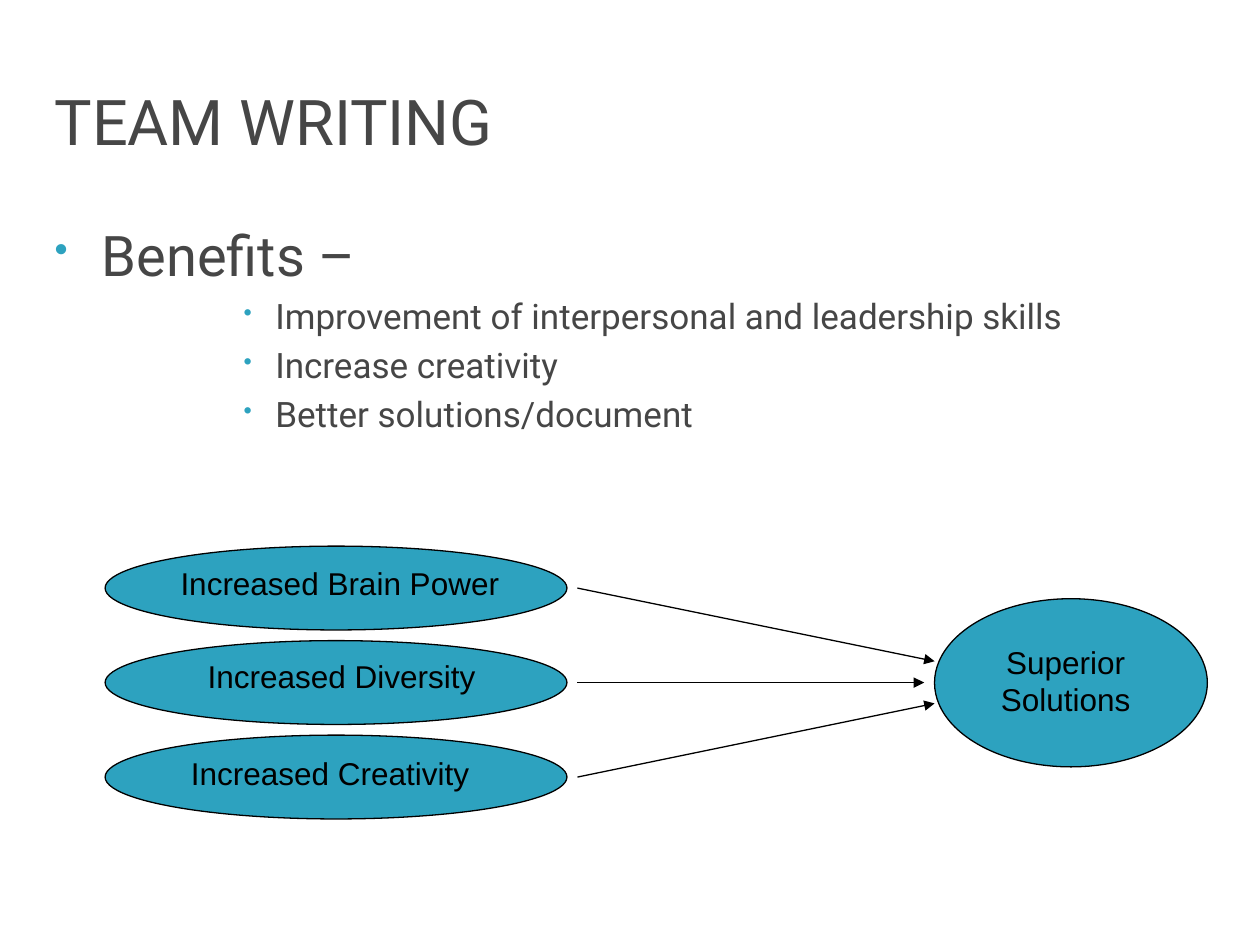
from typing import NamedTuple

from lxml import etree
from pptx import Presentation
from pptx.dml.color import RGBColor
from pptx.enum.shapes import MSO_CONNECTOR, MSO_SHAPE
from pptx.enum.text import MSO_ANCHOR, PP_ALIGN
from pptx.oxml.ns import qn
from pptx.util import Cm, Pt

STRAIGHT = MSO_CONNECTOR.STRAIGHT
ELLIPSE = MSO_SHAPE.OVAL
TOP, MIDDLE = MSO_ANCHOR.TOP, MSO_ANCHOR.MIDDLE
LEFT, CENTER = PP_ALIGN.LEFT, PP_ALIGN.CENTER

TEAL = RGBColor(0x2D, 0xA2, 0xBF)
GRAY = RGBColor(0x46, 0x46, 0x46)
BLACK = RGBColor(0, 0, 0)
OUTLINE = Pt(0.75)


class Box(NamedTuple):
    """Left, top, width and height in centimetres."""
    left: float
    top: float
    width: float
    height: float

    def lengths(self):
        """Return the four values as lengths."""
        return [Cm(value) for value in self]


class Benefit(NamedTuple):
    """A bulleted line; margin and hang in centimetres."""
    text: str
    size: int
    level: int
    margin: float
    hang: float


class Factor(NamedTuple):
    """An ellipse on the left, its label and the end of its arrow."""
    text: str
    label_left: float
    label_top: float
    align: PP_ALIGN
    arrow_x: float
    arrow_y: float


BENEFITS = [Benefit("Benefits –", 32, 0, 0.95, 0.95)] + [
    Benefit(text, 20, 3, 4.45, 0.64)
    for text in ("Improvement of interpersonal and leadership skills",
                 "Increase creativity", "Better solutions/document")
]
FACTORS = [
    Factor("Increased Brain Power", 3.39, 11.25, LEFT, 18.84, 13.33),
    Factor("Increased Diversity", 3.39, 13.12, CENTER, 18.63, 13.76),
    Factor("Increased Creativity", 3.6, 15.07, LEFT, 18.84, 14.18),
]
FACTOR_LEFT, FACTOR_TOP, FACTOR_PITCH = 2.12, 11.01, 1.905
FACTOR_WIDTH, FACTOR_HEIGHT = 9.31, 1.69
ARROW_START = 11.64


def add_text_box(s, box: Box, anchor=TOP):
    """Add a wrapping text box and return its text frame."""
    tf = s.shapes.add_textbox(*box.lengths()).text_frame
    tf.word_wrap = True
    tf.vertical_anchor = anchor
    return tf


def style(p, text: str, font: str, size: int, color: RGBColor) -> None:
    """Fill a paragraph and set its font."""
    p.text = text
    p.font.name = font
    p.font.size = Pt(size)
    p.font.color.rgb = color


def space_before(p, percent: int) -> None:
    """Set the space before a paragraph relative to its line height."""
    spacing = etree.Element(qn("a:spcBef"))
    etree.SubElement(spacing, qn("a:spcPct"), val=str(percent * 1000))
    p._p.get_or_add_pPr().insert(0, spacing)


def add_bullet(p, benefit: Benefit) -> None:
    """Give a paragraph a hanging teal bullet."""
    pPr = p._p.get_or_add_pPr()
    pPr.set("marL", str(Cm(benefit.margin)))
    pPr.set("indent", str(-Cm(benefit.hang)))
    color = etree.Element(qn("a:buClr"))
    etree.SubElement(color, qn("a:srgbClr"), val=str(TEAL))
    size = etree.Element(qn("a:buSzPct"), val="70000")
    char = etree.Element(qn("a:buChar"), char="•")
    for position, element in enumerate((color, size, char)):
        pPr.insert(position, element)


def add_ellipse(s, box: Box) -> None:
    """Add a teal ellipse with a thin black outline."""
    sp = s.shapes.add_shape(ELLIPSE, *box.lengths())
    sp.shadow.inherit = False
    sp.fill.solid()
    sp.fill.fore_color.rgb = TEAL
    sp.line.color.rgb = BLACK
    sp.line.width = OUTLINE


def add_label(s, box: Box, text: str, align: PP_ALIGN) -> None:
    """Add the label of an ellipse."""
    p = add_text_box(s, box).paragraphs[0]
    style(p, text, "Arial", 18, BLACK)
    p.alignment = align
    space_before(p, 50)


def add_arrow(s, x1: float, y1: float, x2: float, y2: float) -> None:
    """Add a thin black arrow."""
    arrow = s.shapes.add_connector(STRAIGHT, Cm(x1), Cm(y1), Cm(x2), Cm(y2))
    arrow.line.color.rgb = BLACK
    arrow.line.width = OUTLINE
    etree.SubElement(arrow.line._get_or_add_ln(), qn("a:tailEnd"), type="triangle")
    etree.SubElement(arrow._element.spPr, qn("a:effectLst"))


def add_benefits(s) -> None:
    """Add the bulleted list."""
    tf = add_text_box(s, Box(0.85, 4.32, 24.13, 12.57))
    for i, benefit in enumerate(BENEFITS):
        p = tf.add_paragraph() if i else tf.paragraphs[0]
        style(p, benefit.text, "Roboto", benefit.size, GRAY)
        p.level = benefit.level
        add_bullet(p, benefit)
        space_before(p, 20)


def add_diagram(s) -> None:
    """Add the factors, their arrows and the result."""
    for i, factor in enumerate(FACTORS):
        top = FACTOR_TOP + i * FACTOR_PITCH
        add_ellipse(s, Box(FACTOR_LEFT, top, FACTOR_WIDTH, FACTOR_HEIGHT))
        add_label(s, Box(factor.label_left, factor.label_top, 6.99, 1.02),
                  factor.text, factor.align)
        add_arrow(s, ARROW_START, top + FACTOR_HEIGHT / 2,
                  factor.arrow_x, factor.arrow_y)
    add_ellipse(s, Box(18.84, 12.07, 5.5, 3.39))
    add_label(s, Box(18.84, 12.83, 5.29, 1.78), "Superior Solutions", CENTER)


prs = Presentation()
prs.slide_width, prs.slide_height = Cm(25.4), Cm(19.05)
s = prs.slides.add_slide(prs.slide_layouts[6])
title = add_text_box(s, Box(0.85, 1.27, 24.13, 2.33), MIDDLE)
style(title.paragraphs[0], "TEAM WRITING", "Roboto", 36, GRAY)
add_benefits(s)
add_diagram(s)
prs.save("out.pptx")
